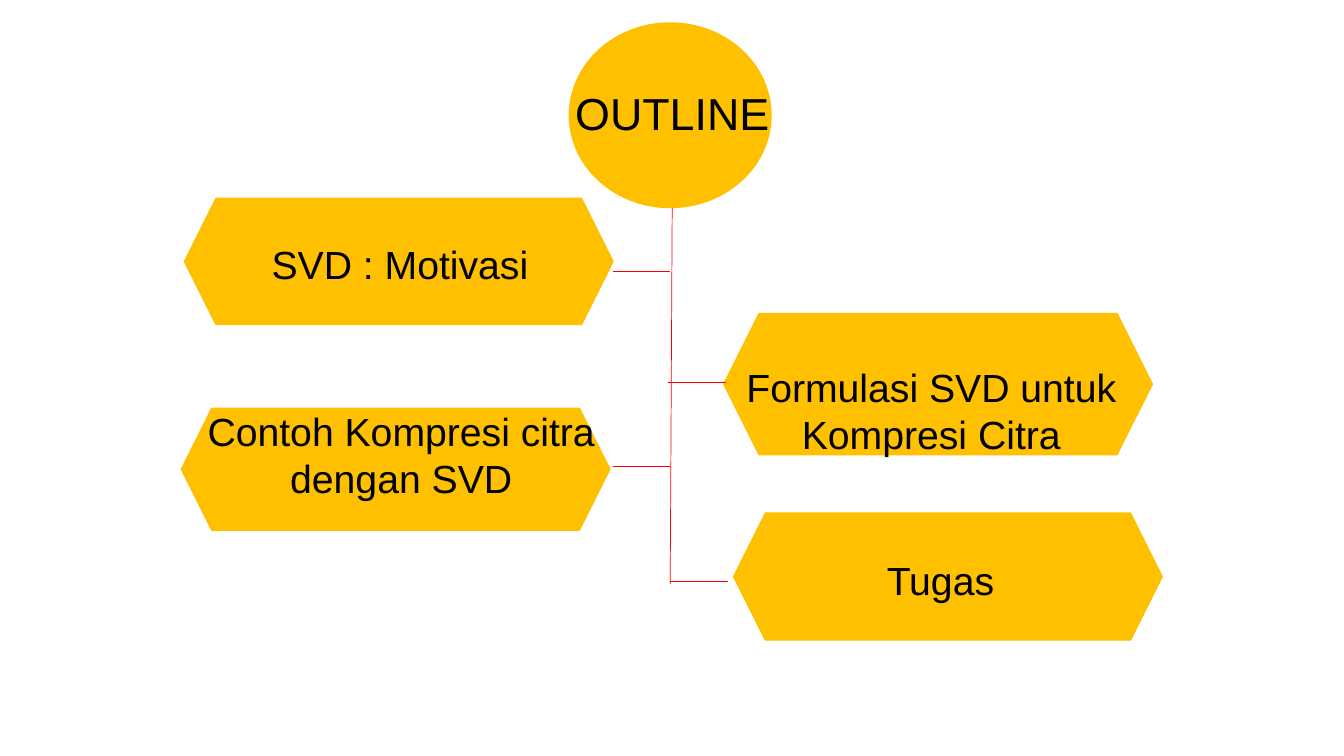
from dataclasses import dataclass

from lxml import etree
from pptx import Presentation
from pptx import util as u
from pptx.dml.color import RGBColor
from pptx.enum import shapes, text
from pptx.oxml.ns import qn

GOLD = "FFC000"
RED = "FF0000"
BLACK = "000000"
FONT = "Arial"
HEXAGON_WIDTH = 10.8
LABEL_WIDTH = 10.36
LINE_HEIGHT = 1.19
LABEL_PADDING = 0.26
BRANCH_LENGTH = 1.45


@dataclass(frozen=True)
class Topic:
    label: str
    left: float
    top: float
    height: float
    label_left: float
    label_top: float
    label_lines: int


@dataclass(frozen=True)
class Branch:
    right: float
    y: float


TOPICS = [
    Topic("SVD : Motivasi", 4.65, 5.0, 3.18, 4.9, 5.92, 1),
    Topic("Formulasi SVD untuk Kompresi Citra", 18.24, 7.9, 3.56, 18.29, 9.04, 2),
    Topic("Contoh Kompresi citra dengan SVD", 4.57, 10.29, 3.07, 4.93, 10.13, 2),
    Topic("Tugas", 18.49, 12.93, 3.2, 18.52, 13.89, 1),
]

BRANCHES = [
    Branch(16.89, 6.83),
    Branch(16.89, 11.76),
    Branch(18.29, 9.63),
    Branch(18.34, 14.66),
]


def color(hex_value: str) -> RGBColor:
    return RGBColor.from_string(hex_value)


def add_gold_shape(parent, kind, left: float, top: float, width: float, height: float) -> None:
    shape = parent.add_shape(kind, u.Cm(left), u.Cm(top), u.Cm(width), u.Cm(height))
    shape.shadow.inherit = False
    shape.fill.solid()
    shape.fill.fore_color.rgb = color(GOLD)
    shape.line.color.rgb = color(GOLD)
    shape.line.width = u.Pt(1)


def write_centered(frame, words: str, size: int) -> None:
    frame.word_wrap = True
    frame.auto_size = text.MSO_AUTO_SIZE.NONE
    frame.vertical_anchor = text.MSO_ANCHOR.TOP
    paragraph = frame.paragraphs[0]
    paragraph.alignment = text.PP_ALIGN.CENTER
    paragraph.line_spacing = 1.0
    paragraph.space_before = u.Pt(0)
    run = paragraph.add_run()
    run.text = words
    run.font.name = FONT
    run.font.size = u.Pt(size)
    run.font.color.rgb = color(BLACK)


def add_topic(slide, topic: Topic) -> None:
    members = slide.shapes.add_group_shape().shapes
    add_gold_shape(members, shapes.MSO_SHAPE.HEXAGON,
                   topic.left, topic.top, HEXAGON_WIDTH, topic.height)
    label = members.add_textbox(
        u.Cm(topic.label_left), u.Cm(topic.label_top), u.Cm(LABEL_WIDTH),
        u.Cm(LABEL_PADDING + LINE_HEIGHT * topic.label_lines))
    write_centered(label.text_frame, topic.label, 28)


def add_red_line(slide, x1: float, y1: float, x2: float, y2: float) -> None:
    line = slide.shapes.add_connector(
        shapes.MSO_CONNECTOR.STRAIGHT, u.Cm(x1), u.Cm(y1), u.Cm(x2), u.Cm(y2))
    line.line.color.rgb = color(RED)
    line.line.width = u.Pt(0.5)
    etree.SubElement(line.element.spPr, qn("a:effectLst"))


def add_heading(slide) -> None:
    add_gold_shape(slide.shapes, shapes.MSO_SHAPE.OVAL, 14.35, 0.58, 5.08, 4.65)
    title = slide.shapes.title
    title.left, title.top = u.Cm(12.5), u.Cm(2.03)
    title.width, title.height = u.Cm(8.89), u.Cm(1.63)
    write_centered(title.text_frame, "OUTLINE", 32)
    title.element.getparent().append(title.element)


def main() -> None:
    deck = Presentation()
    deck.slide_width, deck.slide_height = u.Cm(33.87), u.Cm(19.05)
    slide = deck.slides.add_slide(deck.slide_layouts[5])
    for topic in TOPICS:
        add_topic(slide, topic)
    add_heading(slide)
    add_red_line(slide, 16.94, 5.23, 16.89, 14.71)
    for branch in BRANCHES:
        add_red_line(slide, branch.right, branch.y, branch.right - BRANCH_LENGTH, branch.y)
    deck.save("out.pptx")


if __name__ == "__main__":
    main()
